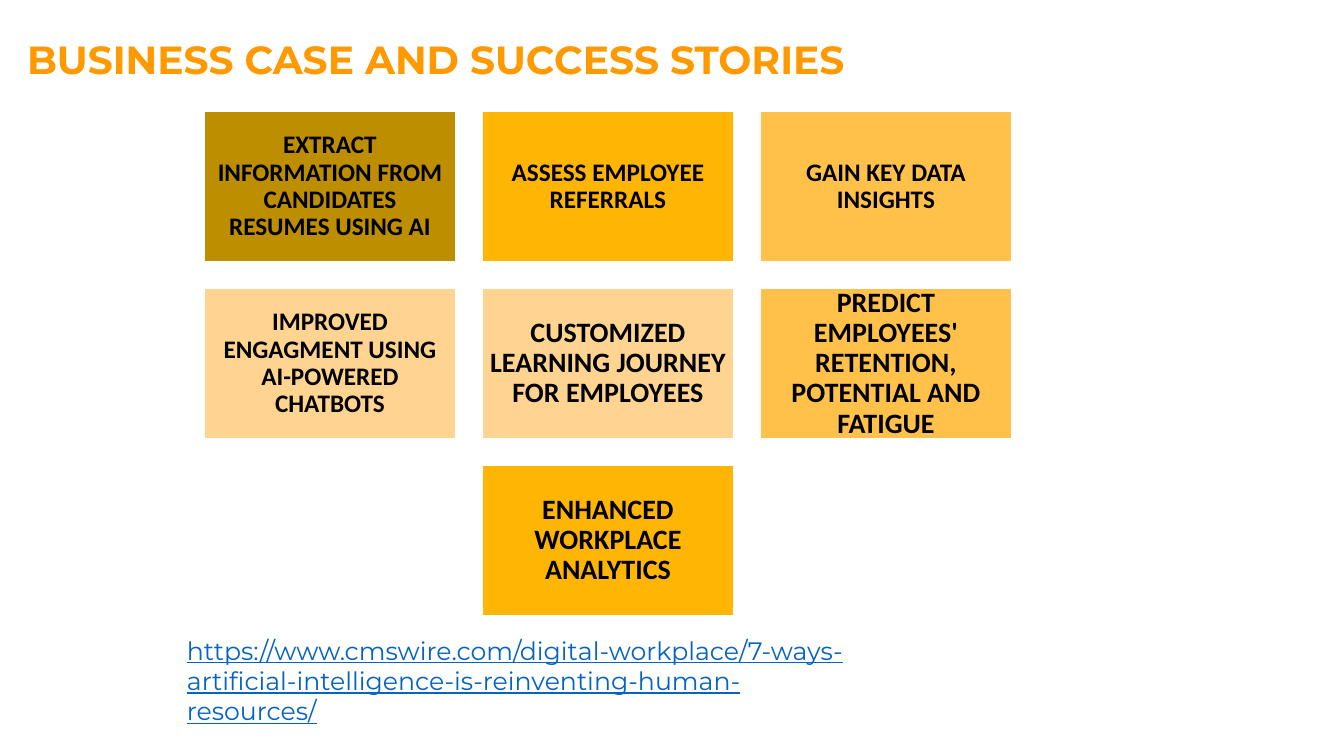
"""Build a slide of business cases shown as a centred grid of tiles."""
import dataclasses

import pptx
import pptx.dml.color
import pptx.enum.shapes
import pptx.enum.text
import pptx.util

TITLE = "BUSINESS CASE AND SUCCESS STORIES"
SOURCE = (
    "https://www.cmswire.com/digital-workplace/"
    "7-ways-artificial-intelligence-is-reinventing-human-resources/"
)
TILES = [
    ("EXTRACT INFORMATION FROM CANDIDATES RESUMES USING AI", "BD8E00", 18),
    ("ASSESS EMPLOYEE REFERRALS", "FFB504", 18),
    ("GAIN KEY DATA INSIGHTS", "FFC14A", 18),
    ("IMPROVED ENGAGMENT USING AI-POWERED CHATBOTS", "FFD491", 18),
    ("CUSTOMIZED LEARNING JOURNEY FOR EMPLOYEES", "FFD491", 20),
    ("PREDICT EMPLOYEES' RETENTION, POTENTIAL AND FATIGUE", "FFC14A", 20),
    ("ENHANCED WORKPLACE ANALYTICS", "FFB504", 20),
]

SLIDE_SIZE = (1344, 756)
TITLE_BOX = (17, 30, 939, 50)
SOURCE_BOX = (177, 630, 690, 102)
GRID_LEFT, GRID_TOP = 204, 111
TILE_WIDTH, TILE_HEIGHT = 252, 151
GAP = 26
COLUMNS = 3
TILE_INSET = 7


@dataclasses.dataclass(frozen=True)
class Theme:
    heading_font: str = "Montserrat"
    tile_font: str = "Calibri"
    title_color: str = "FF9900"
    tile_text_color: str = "000000"
    tile_line_color: str = "FFFFFF"
    source_color: str = "0563C1"
    title_size: int = 28
    source_size: int = 18


THEME = Theme()


def px(length):
    return pptx.util.Emu(round(length * 914400 / 100.8))


def rgb(color):
    return pptx.dml.color.RGBColor.from_string(color)


def write(shape, text, font_name, size, color, bold=False, underline=False):
    frame = shape.text_frame
    frame.text = text
    frame.word_wrap = True
    frame.auto_size = pptx.enum.text.MSO_AUTO_SIZE.NONE
    frame.vertical_anchor = pptx.enum.text.MSO_ANCHOR.TOP
    paragraph = frame.paragraphs[0]
    paragraph.alignment = pptx.enum.text.PP_ALIGN.LEFT
    font = paragraph.runs[0].font
    font.name = font_name
    font.size = pptx.util.Pt(size)
    font.color.rgb = rgb(color)
    font.bold = bold
    font.underline = underline


def add_title(slide):
    title = slide.shapes.title
    title.left, title.top, title.width, title.height = map(px, TITLE_BOX)
    write(title, TITLE, THEME.heading_font, THEME.title_size, THEME.title_color, bold=True)


def add_tile(slide, index, text, fill_color, size):
    row, column = divmod(index, COLUMNS)
    row_length = min(COLUMNS, len(TILES) - row * COLUMNS)
    column += (COLUMNS - row_length) / 2
    left = GRID_LEFT + column * (TILE_WIDTH + GAP)
    top = GRID_TOP + row * (TILE_HEIGHT + GAP)
    tile = slide.shapes.add_shape(
        pptx.enum.shapes.MSO_SHAPE.RECTANGLE,
        px(left), px(top), px(TILE_WIDTH), px(TILE_HEIGHT),
    )
    tile.shadow.inherit = False
    tile.fill.solid()
    tile.fill.fore_color.rgb = rgb(fill_color)
    tile.line.color.rgb = rgb(THEME.tile_line_color)
    tile.line.width = pptx.util.Pt(1)
    write(tile, text, THEME.tile_font, size, THEME.tile_text_color, bold=True)
    frame = tile.text_frame
    frame.margin_left = frame.margin_right = px(TILE_INSET)
    frame.margin_top = frame.margin_bottom = px(TILE_INSET)
    frame.vertical_anchor = pptx.enum.text.MSO_ANCHOR.MIDDLE
    paragraph = frame.paragraphs[0]
    paragraph.alignment = pptx.enum.text.PP_ALIGN.CENTER
    paragraph.line_spacing = 0.9


def add_source(slide):
    box = slide.shapes.add_textbox(*map(px, SOURCE_BOX))
    write(box, SOURCE, THEME.heading_font, THEME.source_size, THEME.source_color, underline=True)


def main():
    presentation = pptx.Presentation()
    presentation.slide_width, presentation.slide_height = map(px, SLIDE_SIZE)
    slide = presentation.slides.add_slide(presentation.slide_layouts[5])
    add_title(slide)
    for index, tile in enumerate(TILES):
        add_tile(slide, index, *tile)
    add_source(slide)
    presentation.save("out.pptx")


if __name__ == "__main__":
    main()
